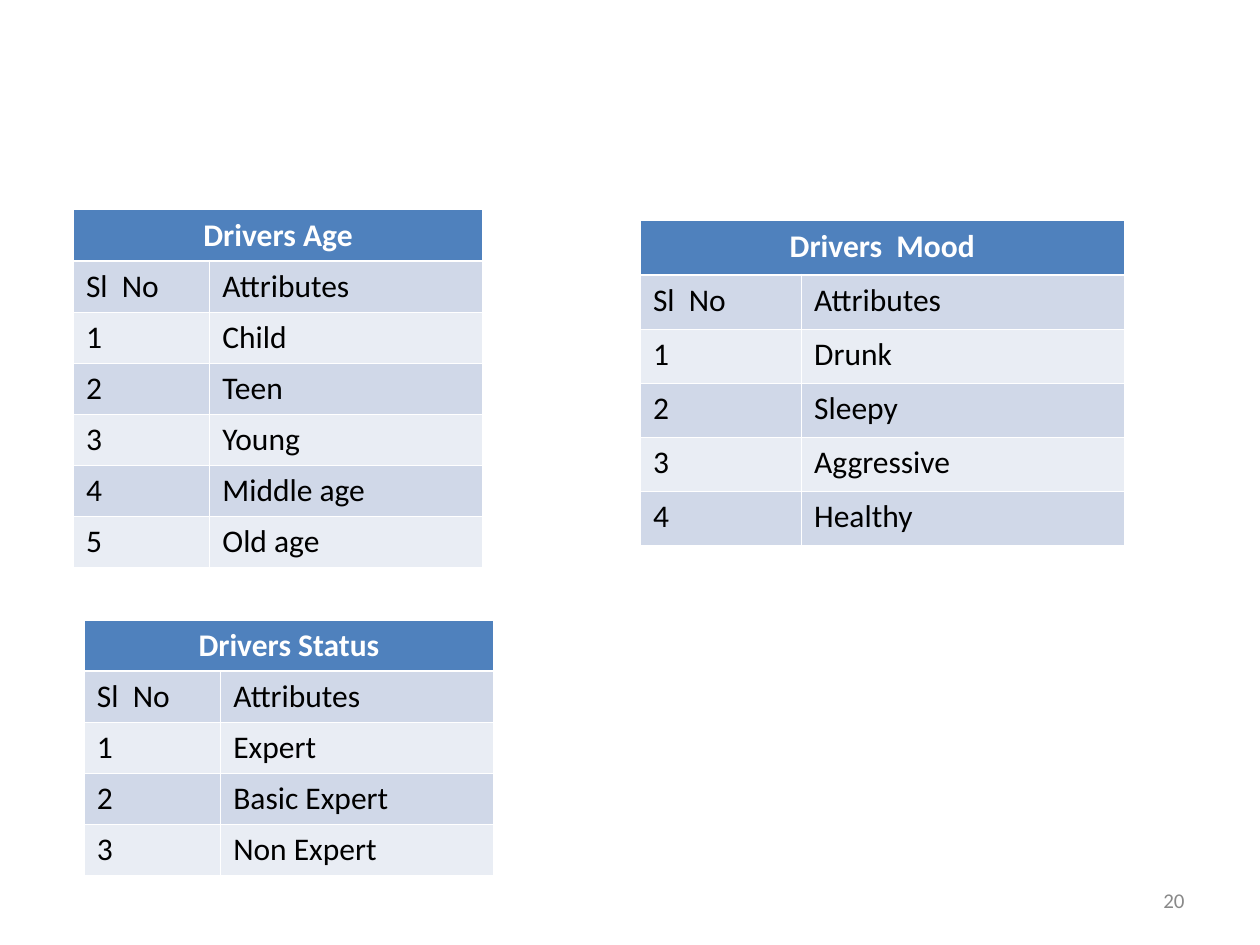
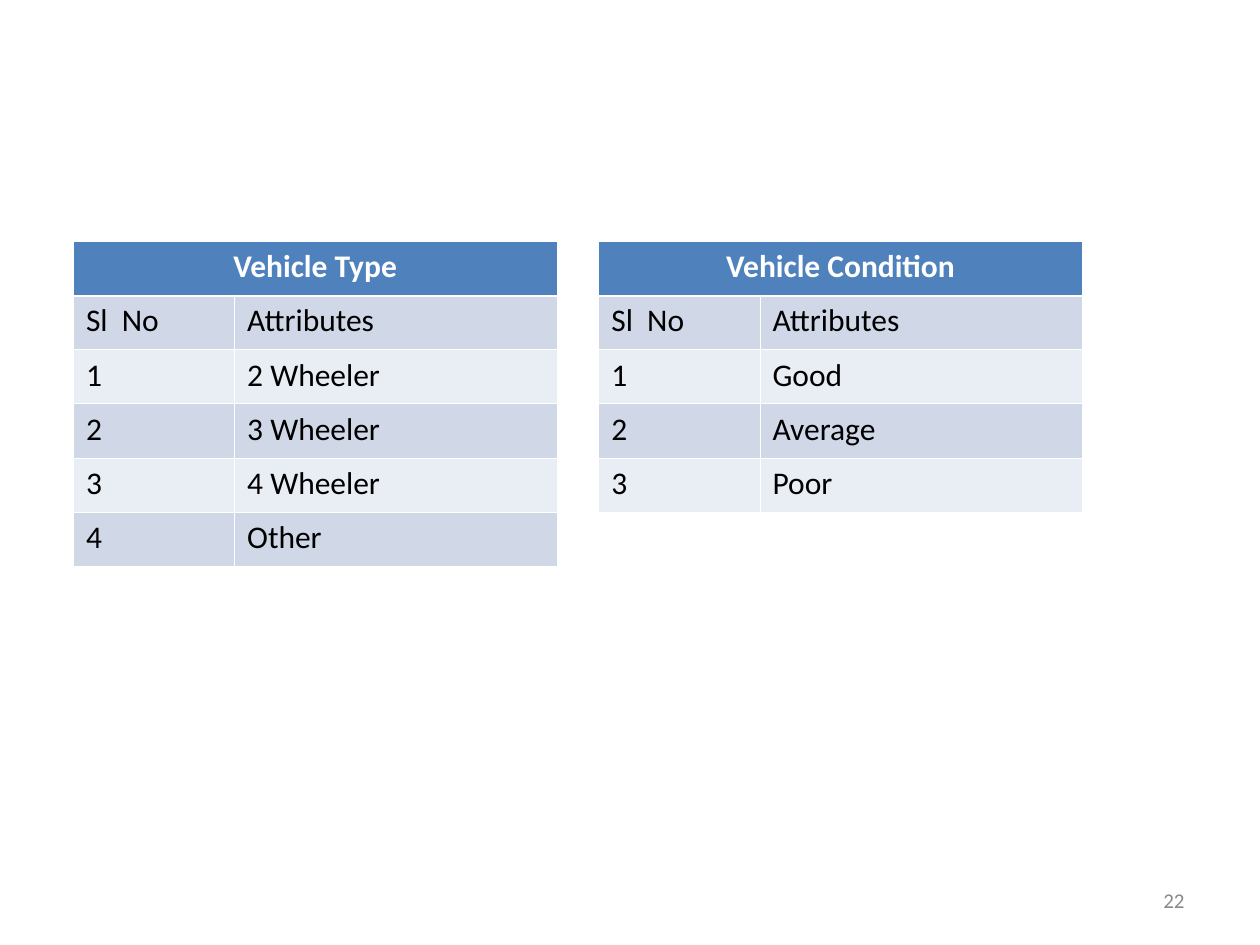
import lxml.etree
import pptx
import pptx.dml.color
import pptx.enum.text
import pptx.oxml.ns
import pptx.util

Cm = pptx.util.Cm
Pt = pptx.util.Pt
RGBColor = pptx.dml.color.RGBColor
Align = pptx.enum.text.PP_ALIGN

WHITE = RGBColor(0xFF, 0xFF, 0xFF)
BLACK = RGBColor(0x00, 0x00, 0x00)
GREY = RGBColor(0x89, 0x89, 0x89)
HEADER_BLUE = RGBColor(0x4F, 0x81, 0xBD)
BANDS = (RGBColor(0xD0, 0xD8, 0xE8), RGBColor(0xE9, 0xED, 0xF4))

HEADER_TEXT = {"size": Pt(18), "bold": True}
BODY_TEXT = {"size": Pt(18), "bold": False}
NUMBER_TEXT = {"size": Pt(12), "bold": False}

THIN, THICK = Pt(0.45), Pt(1.47)
NARROW = {"unit": Cm(2.75), "row_height": Cm(1.03)}
WIDE = {"unit": Cm(3.25), "row_height": Cm(1.09)}


class Deck:
    font_name = "Calibri"

    def __init__(self):
        self.presentation = pptx.Presentation()
        self.presentation.slide_width = Cm(25.4)
        self.presentation.slide_height = Cm(19.05)
        self.slide = None

    def add_slide(self, number):
        self.slide = self.presentation.slides.add_slide(self.presentation.slide_layouts[6])
        self.add_page_number(number)

    def set_text(self, text_frame, text, text_format, color, alignment):
        paragraph = text_frame.paragraphs[0]
        paragraph.text = text
        paragraph.alignment = alignment
        for name, value in {"name": self.font_name, **text_format}.items():
            setattr(paragraph.font, name, value)
        paragraph.font.color.rgb = color

    def add_page_number(self, number):
        shape = self.slide.shapes.add_textbox(Cm(18.2), Cm(17.65), Cm(5.93), Cm(1.01))
        shape.text_frame.word_wrap = True
        shape.text_frame.vertical_anchor = pptx.enum.text.MSO_ANCHOR.MIDDLE
        self.set_text(shape.text_frame, str(number), NUMBER_TEXT, GREY, Align.RIGHT)

    def add_borders(self, cell, top, bottom):
        properties = cell._tc.get_or_add_tcPr()
        for side, width in {"lnL": THIN, "lnR": THIN, "lnT": top, "lnB": bottom}.items():
            line = lxml.etree.SubElement(
                properties, pptx.oxml.ns.qn(f"a:{side}"), w=str(int(width)))
            fill = lxml.etree.SubElement(line, pptx.oxml.ns.qn("a:solidFill"))
            lxml.etree.SubElement(fill, pptx.oxml.ns.qn("a:srgbClr"), val=str(WHITE))

    def add_attribute_table(self, left, top, title, attributes, unit, row_height):
        """Add a titled, numbered list whose second column is twice as wide as the first."""
        rows = [(title, ""), ("Sl  No", "Attributes")]
        rows += [(str(number), name) for number, name in enumerate(attributes, 1)]
        table = self.slide.shapes.add_table(
            len(rows), 2, left, top, 3 * unit, len(rows) * row_height).table
        table.horz_banding = False
        for column, share in zip(table.columns, (1, 2)):
            column.width = share * unit
        for row_index, row in enumerate(rows):
            table.rows[row_index].height = row_height
            is_header = row_index == 0
            for column_index, text in enumerate(row):
                cell = table.cell(row_index, column_index)
                self.add_borders(cell, THICK if row_index == 1 else THIN,
                                 THICK if is_header else THIN)
                cell.fill.solid()
                cell.fill.fore_color.rgb = HEADER_BLUE if is_header else BANDS[(row_index - 1) % 2]
                self.set_text(cell.text_frame, text,
                              HEADER_TEXT if is_header else BODY_TEXT,
                              WHITE if is_header else BLACK,
                              Align.CENTER if is_header else Align.LEFT)
        table.cell(0, 0).merge(table.cell(0, 1))


def main():
    deck = Deck()

    deck.add_slide(20)
    deck.add_attribute_table(Cm(1.48), Cm(4.23), "Drivers Age",
                             ["Child", "Teen", "Young", "Middle age", "Old age"], **NARROW)
    deck.add_attribute_table(Cm(1.7), Cm(12.5), "Drivers Status",
                             ["Expert", "Basic Expert", "Non Expert"], **NARROW)
    deck.add_attribute_table(Cm(12.91), Cm(4.45), "Drivers  Mood",
                             ["Drunk", "Sleepy", "Aggressive", "Healthy"], **WIDE)

    deck.add_slide(22)
    vehicle_top = Cm(4.87)
    deck.add_attribute_table(Cm(1.48), vehicle_top, "Vehicle Type",
                             ["2 Wheeler", "3 Wheeler", "4 Wheeler", "Other"], **WIDE)
    deck.add_attribute_table(Cm(12.07), vehicle_top, "Vehicle Condition",
                             ["Good", "Average", "Poor"], **WIDE)

    deck.presentation.save("out.pptx")


if __name__ == "__main__":
    main()
